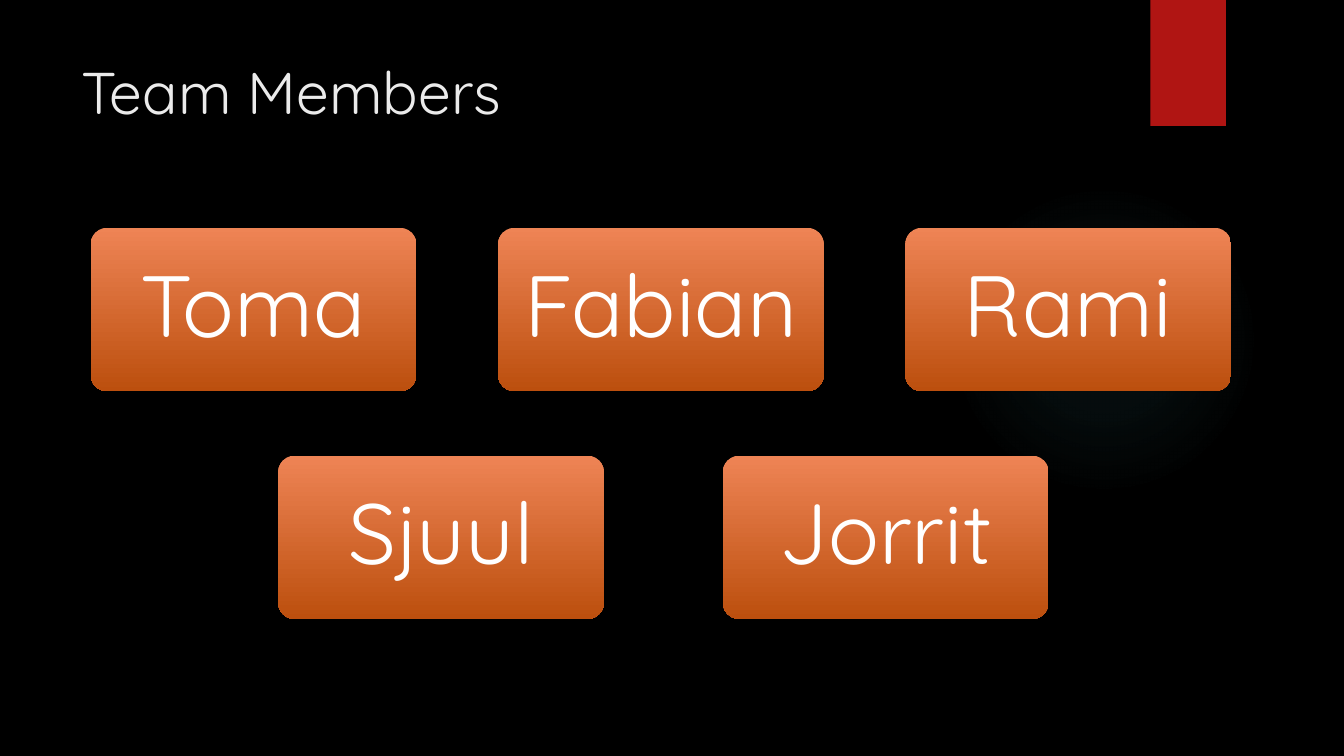
"""Build the Team Members slide: a title over two rows of name cards."""
from pptx import Presentation
from pptx.dml.color import RGBColor
from pptx.enum.shapes import MSO_SHAPE
from pptx.enum.text import MSO_ANCHOR, PP_ALIGN
from pptx.oxml import parse_xml
from pptx.oxml.ns import nsdecls, qn
from pptx.util import Inches, Pt

RECTANGLE = MSO_SHAPE.RECTANGLE
ROUNDED = MSO_SHAPE.ROUNDED_RECTANGLE
ELLIPSE = MSO_SHAPE.OVAL
TOP, MIDDLE = MSO_ANCHOR.TOP, MSO_ANCHOR.MIDDLE
LEFT, CENTER = PP_ALIGN.LEFT, PP_ALIGN.CENTER
FONT = "Quicksand"
CARD_WIDTH, CARD_HEIGHT = 3.23, 1.62
ROW_PITCH = 2.26
GLOW_STOPS = [(0, 7), (36, 6), (69, 0)]
ROWS = [
    (0.9, 4.04, 62, ["Toma", "Fabian", "Rami"]),
    (2.76, 4.41, 61, ["Sjuul", "Jorrit"]),
]


def color(code):
    """Turn a hex string into a colour."""
    return RGBColor.from_string(code)


def add_plain_shape(kind, left, top, width, height):
    """Add a preset shape without line or shadow, placed in inches."""
    shape = page.shapes.add_shape(
        kind, Inches(left), Inches(top), Inches(width), Inches(height))
    shape.shadow.inherit = False
    shape.line.fill.background()
    return shape


deck = Presentation()
deck.slide_width, deck.slide_height = Inches(13.33), Inches(7.5)
page = deck.slides.add_slide(deck.slide_layouts[6])
page.background.fill.solid()
page.background.fill.fore_color.rgb = color("000000")

glow = add_plain_shape(ELLIPSE, 9.41, 1.83, 3.08, 3.08)
glow.fill.background()
stops = "".join(
    f'<a:gs pos="{place * 1000}"><a:srgbClr val="50B9C1">'
    f'<a:alpha val="{alpha * 1000}"/></a:srgbClr></a:gs>'
    for place, alpha in GLOW_STOPS)
radial = parse_xml(
    f'<a:gradFill {nsdecls("a")}><a:gsLst>{stops}</a:gsLst><a:path path="circle">'
    '<a:fillToRect l="50000" t="50000" r="50000" b="50000"/></a:path></a:gradFill>')
properties = glow._element.spPr
properties.replace(properties.find(qn("a:noFill")), radial)

ribbon = add_plain_shape(RECTANGLE, 11.41, 0, 0.75, 1.25)
ribbon.fill.solid()
ribbon.fill.fore_color.rgb = color("B01513")

title = page.shapes.add_textbox(Inches(0.71), Inches(0.5), Inches(10.29), Inches(1.53))
title.text_frame.word_wrap = True
title.text_frame.vertical_anchor = TOP
para = title.text_frame.paragraphs[0]
para.text = "Team Members"
para.alignment = LEFT
para.font.name, para.font.size = FONT, Pt(42)
para.font.color.rgb = color("EBEBEB")

for row, (left, pitch, size, names) in enumerate(ROWS, start=1):
    for column, name in enumerate(names):
        card = add_plain_shape(
            ROUNDED, left + column * pitch, row * ROW_PITCH, CARD_WIDTH, CARD_HEIGHT)
        card.adjustments[0] = 0.1
        card.fill.gradient()
        card.fill.gradient_angle = 270
        for stop, code in zip(card.fill.gradient_stops, ["EE8455", "BC4F0E"]):
            stop.color.rgb = color(code)
        frame = card.text_frame
        frame.word_wrap = True
        frame.vertical_anchor = MIDDLE
        frame.margin_left = frame.margin_right = Inches(0.13)
        frame.margin_top = frame.margin_bottom = Inches(0.09)
        para = frame.paragraphs[0]
        para.text = name
        para.alignment = CENTER
        para.line_spacing = 0.9
        para.font.name, para.font.size = FONT, Pt(size)
        para.font.color.rgb = color("FFFFFF")

deck.save("out.pptx")
